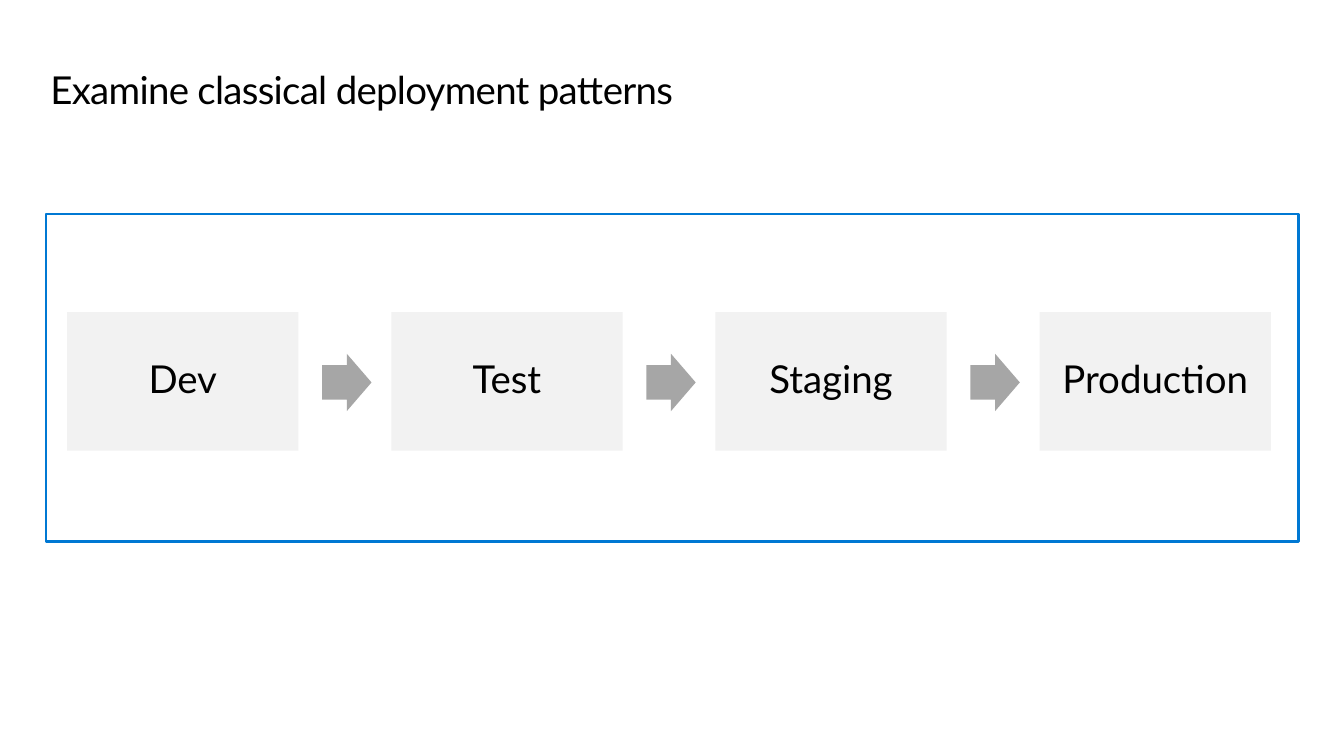
from pptx import Presentation
from pptx.dml.color import RGBColor
from pptx.enum.shapes import MSO_SHAPE
from pptx.enum.text import MSO_ANCHOR, MSO_AUTO_SIZE, PP_ALIGN
from pptx.util import Emu, Pt

PX = 9144  # 100 px to the inch


def place(kind, left, top, width, height, fill=None, line=None):
    shape = slide.shapes.add_shape(kind, *(Emu(n * PX) for n in (left, top, width, height)))
    shape.shadow.inherit = False
    if fill:
        shape.fill.solid()
        shape.fill.fore_color.rgb = RGBColor.from_string(fill)
    else:
        shape.fill.background()
    if line:
        shape.line.color.rgb = RGBColor.from_string(line)
        shape.line.width = Pt(1.5)
    else:
        shape.line.fill.background()
    return shape


def write(shape, text, align, anchor, inset, spacing):
    """Fill the shape with one line of black 28 pt text and return its run."""
    frame = shape.text_frame
    frame.word_wrap = True
    frame.vertical_anchor = anchor
    frame.margin_left = frame.margin_right = Emu(inset * PX)
    frame.margin_top = frame.margin_bottom = Emu(inset * PX)
    line = frame.paragraphs[0]
    line.alignment = align
    line.line_spacing = spacing
    run = line.add_run()
    run.text = text
    run.font.name = "Lato"
    run.font.size = Pt(28)
    run.font.color.rgb = RGBColor.from_string("000000")
    return run


deck = Presentation()
deck.slide_width = Emu(1360 * PX)
deck.slide_height = Emu(765 * PX)
slide = deck.slides.add_slide(deck.slide_layouts[5])

title = slide.shapes.title
title.left, title.top = Emu(51 * PX), Emu(69 * PX)
title.width, title.height = Emu(1261 * PX), Emu(45 * PX)
run = write(title, "Examine classical deployment patterns",
            align=PP_ALIGN.LEFT, anchor=MSO_ANCHOR.TOP, inset=0, spacing=Pt(32))
run.font._element.set("spc", "-50")
title.text_frame.auto_size = MSO_AUTO_SIZE.SHAPE_TO_FIT_TEXT

place(MSO_SHAPE.RECTANGLE, 47, 217, 1267, 331, line="0078D3")

stages = ["Dev", "Test", "Staging", "Production"]
for i, stage in enumerate(stages):
    left = 68 + i * 328
    box = place(MSO_SHAPE.RECTANGLE, left, 316, 234, 140, fill="F2F2F2")
    write(box, stage, align=PP_ALIGN.CENTER, anchor=MSO_ANCHOR.MIDDLE, inset=12, spacing=0.9)
    if i < len(stages) - 1:
        arrow = place(MSO_SHAPE.RIGHT_ARROW, left + 258, 358, 50, 58, fill="A6A6A6")
        arrow.adjustments[0] = 0.6
        arrow.adjustments[1] = 0.5

deck.save("out.pptx")
